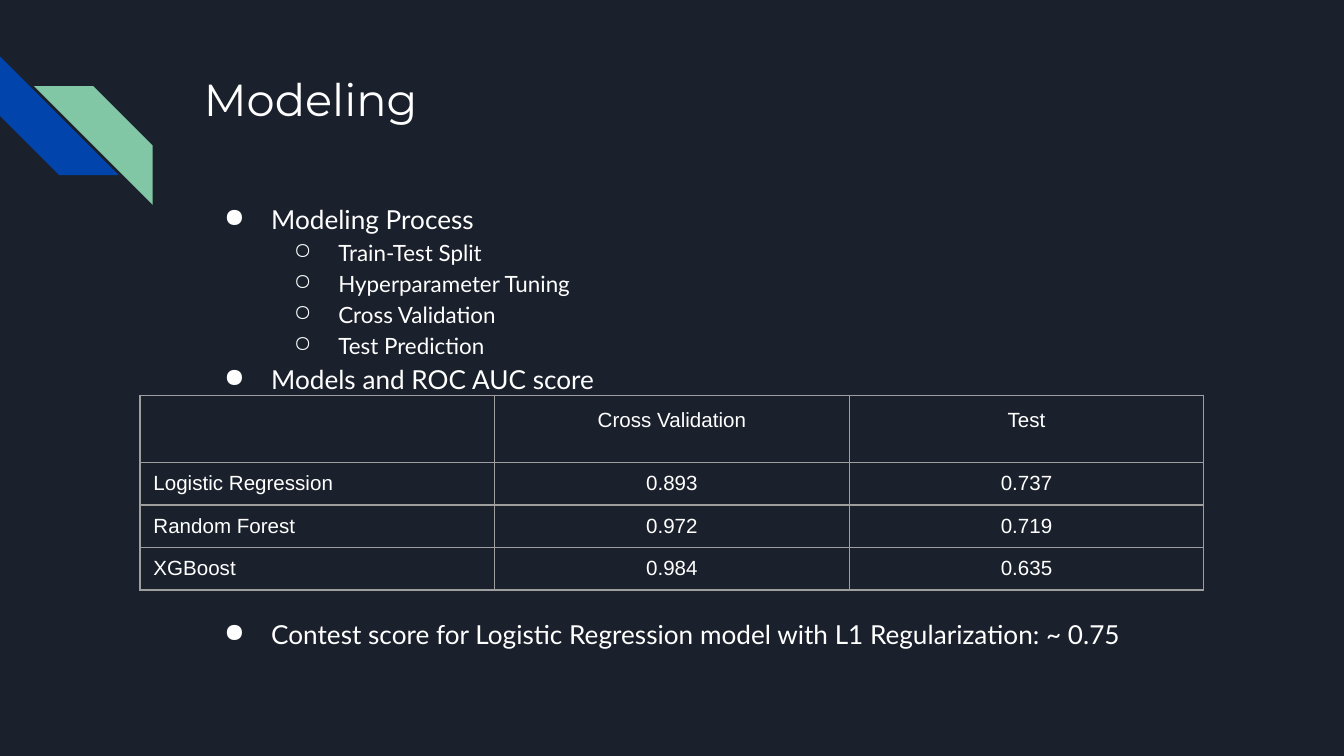
from lxml import etree
from pptx import Presentation
from pptx.dml.color import RGBColor
from pptx.enum.shapes import MSO_SHAPE
from pptx.enum.text import MSO_ANCHOR, PP_ALIGN
from pptx.oxml.ns import qn
from pptx.util import Pt

STRIPE = MSO_SHAPE.DIAGONAL_STRIPE
TOP, MIDDLE = MSO_ANCHOR.TOP, MSO_ANCHOR.MIDDLE
LEFT, CENTER = PP_ALIGN.LEFT, PP_ALIGN.CENTER

NAVY = RGBColor(0x1B, 0x21, 0x2C)
BLUE = RGBColor(0x01, 0x45, 0xAC)
GREEN = RGBColor(0x82, 0xC7, 0xA5)
WHITE = RGBColor(0xFF, 0xFF, 0xFF)
GREY = RGBColor(0x9E, 0x9E, 0x9E)

INSET = 7.2
# Bullet sign, left margin, hanging indent and text size by level
LEVELS = [("●", 36, 25.2, 14), ("○", 72, 23.8, 12)]

ITEMS = [
    (0, "Modeling Process", 0),
    (1, "Train-Test Split", 0),
    (1, "Hyperparameter Tuning", 0),
    (1, "Cross Validation", 0),
    (1, "Test Prediction", 0),
    (0, "Models and ROC AUC score", 0),
    # The wide gap leaves room for the score table
    (0, "Contest score for Logistic Regression model with L1 Regularization: ~ 0.75", 117.5),
]

SCORES = [
    ("", "Cross Validation", "Test"),
    ("Logistic Regression", "0.893", "0.737"),
    ("Random Forest", "0.972", "0.719"),
    ("XGBoost", "0.984", "0.635"),
]


class Deck:
    def __init__(self, wide, high):
        self.file = Presentation()
        self.file.slide_width, self.file.slide_height = Pt(wide), Pt(high)
        self.slide = self.file.slides.add_slide(self.file.slide_layouts[6])
        fill = self.slide.background.fill
        fill.solid()
        fill.fore_color.rgb = NAVY

    def stripe(self, left, top, size, turn, color):
        shape = self.slide.shapes.add_shape(STRIPE, Pt(left), Pt(top), Pt(size), Pt(size))
        shape.rotation = turn
        shape.shadow.inherit = False
        shape.fill.solid()
        shape.fill.fore_color.rgb = color
        shape.line.fill.background()

    def add_text(self, para, text, font, size):
        run = para.add_run()
        run.text = text
        run.font.name = font
        run.font.size = Pt(size)
        run.font.color.rgb = WHITE

    def box(self, left, top, wide, high):
        frame = self.slide.shapes.add_textbox(Pt(left), Pt(top), Pt(wide), Pt(high)).text_frame
        frame.word_wrap = True
        frame.margin_left = frame.margin_right = Pt(INSET)
        frame.margin_top = frame.margin_bottom = Pt(INSET)
        return frame

    def title(self, text, *place):
        self.add_text(self.box(*place).paragraphs[0], text, "Montserrat", 24)

    def bullets(self, items, *place):
        frame = self.box(*place)
        for i, (level, text, gap) in enumerate(items):
            sign, margin, hang, size = LEVELS[level]
            para = frame.add_paragraph() if i else frame.paragraphs[0]
            para.level = level
            para.line_spacing = 1.15
            para.space_before = Pt(gap)
            props = para._p.get_or_add_pPr()
            props.set("marL", str(Pt(margin)))
            props.set("indent", str(-Pt(hang)))
            tint = etree.SubElement(props, qn("a:buClr"))
            etree.SubElement(tint, qn("a:srgbClr"), val=str(WHITE))
            etree.SubElement(props, qn("a:buChar"), char=sign)
            self.add_text(para, text, "Lato", size)

    def border(self, cell):
        props = cell._tc.get_or_add_tcPr()
        for i, side in enumerate("LRTB"):
            line = etree.Element(qn("a:ln" + side), w=str(Pt(0.75)))
            fill = etree.SubElement(line, qn("a:solidFill"))
            etree.SubElement(fill, qn("a:srgbClr"), val=str(GREY))
            props.insert(i, line)

    def table(self, data, left, top, col, head, row):
        rows, cols = len(data), len(data[0])
        high = head + row * (rows - 1)
        grid = self.slide.shapes.add_table(
            rows, cols, Pt(left), Pt(top), Pt(col * cols), Pt(high)).table
        grid.first_row = grid.horz_banding = False
        for part in grid.columns:
            part.width = Pt(col)
        for r, texts in enumerate(data):
            grid.rows[r].height = Pt(row if r else head)
            for c, text in enumerate(texts):
                cell = grid.cell(r, c)
                cell.fill.background()
                self.border(cell)
                cell.margin_left = cell.margin_right = Pt(INSET)
                cell.margin_top = cell.margin_bottom = Pt(0 if r else INSET)
                cell.vertical_anchor = MIDDLE if r else TOP
                para = cell.text_frame.paragraphs[0]
                para.alignment = CENTER if c else LEFT
                if text:
                    self.add_text(para, text, "Arial", 11)


def main():
    deck = Deck(720, 405)
    # Corner stripes
    deck.stripe(0, 30.2, 63.6, 270, BLUE)
    deck.stripe(18.2, 46.2, 63.6, 90, GREEN)
    # Title and list
    deck.title("Modeling", 102.2, 31, 554.4, 72)
    deck.bullets(ITEMS, 102.2, 99.4, 554.4, 260)
    # Model scores
    deck.table(SCORES, 75, 211.7, 190, 34.3, 22.8)
    deck.file.save("out.pptx")


if __name__ == "__main__":
    main()
